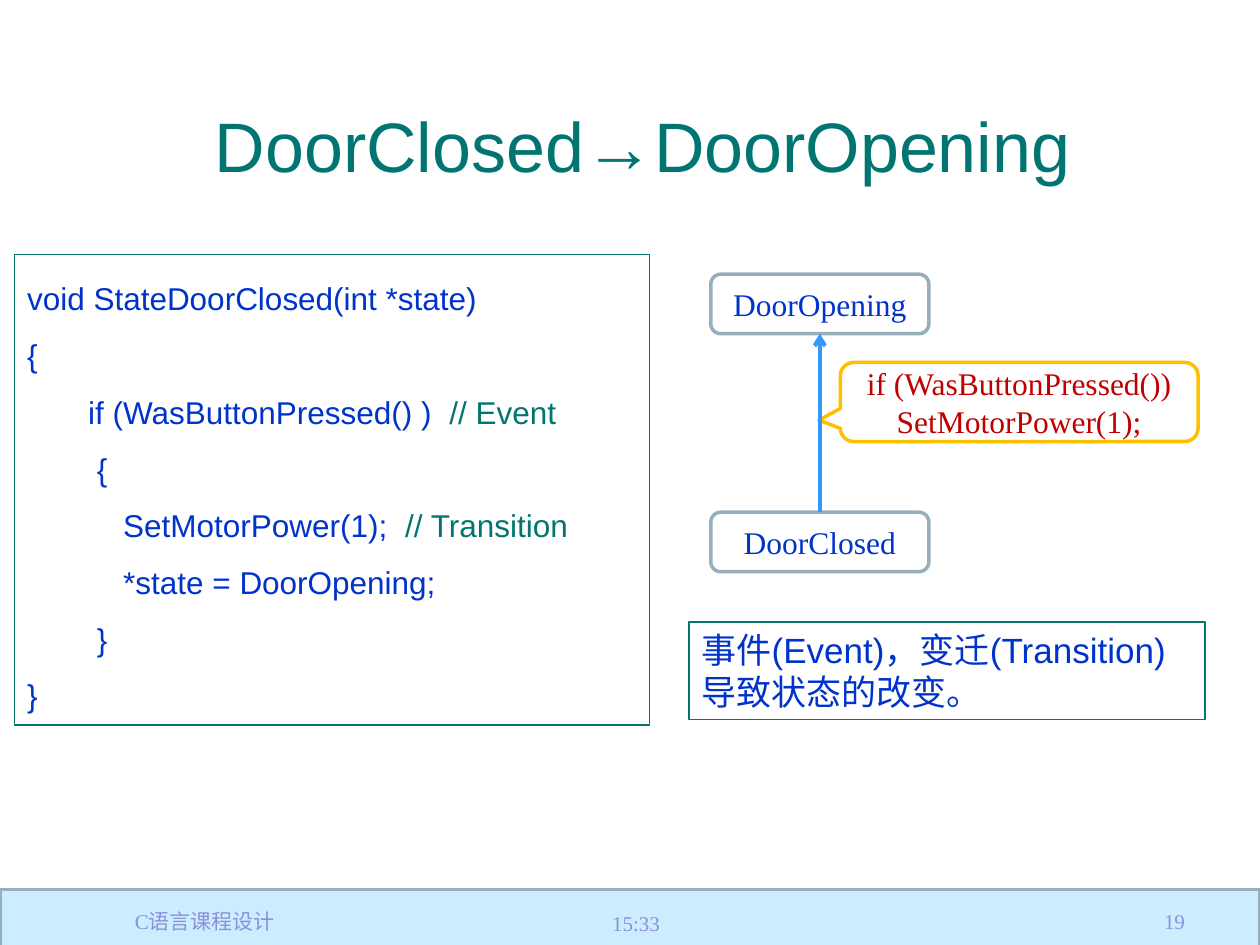
from lxml.etree import SubElement
from pptx import Presentation
from pptx.dml.color import RGBColor
from pptx.enum.shapes import MSO_CONNECTOR, MSO_SHAPE
from pptx.enum.text import MSO_ANCHOR, MSO_AUTO_SIZE, PP_ALIGN
from pptx.oxml.ns import qn
from pptx.util import Pt

TEAL = RGBColor(0x00, 0x75, 0x72)
BLUE = RGBColor(0x00, 0x33, 0xCC)
SKY = RGBColor(0x33, 0x99, 0xFF)
PALE = RGBColor(0xCC, 0xEC, 0xFF)
GRAY = RGBColor(0x97, 0xAF, 0xBD)
GOLD = RGBColor(0xFF, 0xC0, 0x00)
RED = RGBColor(0xC0, 0x00, 0x00)
LILAC = RGBColor(0x8C, 0x90, 0xDA)

SANS, SERIF = "Arial", "Times New Roman"

CODE = [
    "void StateDoorClosed(int *state)",
    "{",
    "       if (WasButtonPressed() )  // Event",
    "        {",
    "           SetMotorPower(1);  // Transition",
    "           *state = DoorOpening;",
    "        }",
    "}",
]


def write(shape, lines, size=18, font=SERIF, color=BLUE, align=PP_ALIGN.LEFT,
          anchor=MSO_ANCHOR.MIDDLE, space=None, note=None, grow=False):
    """Fill a shape with lines; text from // on takes the note colour."""
    frame = shape.text_frame
    frame.word_wrap = True
    frame.vertical_anchor = anchor
    if grow:
        frame.auto_size = MSO_AUTO_SIZE.SHAPE_TO_FIT_TEXT
    for i, line in enumerate(lines):
        para = frame.paragraphs[0] if i == 0 else frame.add_paragraph()
        para.alignment = align
        if space:
            para.line_spacing = space
        code, mark, rest = line.partition("//") if note else (line, "", "")
        for text, tint in ((code, color), (mark + rest, note)):
            if text:
                run = para.add_run()
                run.text = text
                run.font.size = Pt(size)
                run.font.name = font
                run.font.color.rgb = tint


def label(slide, box, lines, **style):
    shape = slide.shapes.add_textbox(*map(Pt, box))
    write(shape, lines, **style)


def outline(slide, kind, box, line, width, fill=None):
    shape = slide.shapes.add_shape(kind, *map(Pt, box))
    shape.shadow.inherit = False
    if fill is None:
        shape.fill.background()
    else:
        shape.fill.solid()
        shape.fill.fore_color.rgb = fill
    shape.line.color.rgb = line
    shape.line.width = Pt(width)
    return shape


def panel(slide, box, lines, **style):
    shape = outline(slide, MSO_SHAPE.RECTANGLE, box, TEAL, 0.75)
    write(shape, lines, font=SANS, anchor=MSO_ANCHOR.TOP, grow=True, **style)


def states(slide, box):
    """Two states, the arrow between them and its callout."""
    left, top, width, height = box
    wide, high = 124.6, 34

    # State boxes at the top and bottom of the region
    nodes = []
    for name, y in (("DoorOpening", top), ("DoorClosed", top + height - high)):
        node = outline(slide, MSO_SHAPE.ROUNDED_RECTANGLE,
                       (left, y, wide, high), GRAY, 2)
        write(node, [name], align=PP_ALIGN.CENTER)
        nodes.append(node)
    upper, lower = nodes

    # Callout with its tip on the arrow
    inset = 74
    note = outline(slide, MSO_SHAPE.ROUNDED_RECTANGULAR_CALLOUT,
                   (left + inset, top + 50.4, width - inset, 45.2), GOLD, 2)
    for i, value in enumerate((-0.56, 0.23, 0.17)):
        note.adjustments[i] = value
    write(note, ["if (WasButtonPressed())", "SetMotorPower(1);"],
          color=RED, align=PP_ALIGN.CENTER)

    # Transition arrow
    arrow = slide.shapes.add_connector(MSO_CONNECTOR.STRAIGHT, 0, 0, 0, 0)
    arrow.begin_connect(lower, 0)
    arrow.end_connect(upper, 2)
    arrow.line.color.rgb = SKY
    arrow.line.width = Pt(2.25)
    SubElement(arrow.line._get_or_add_ln(), qn("a:tailEnd"), type="arrow")
    SubElement(arrow._element.spPr, qn("a:effectLst"))


def footer(slide, box):
    left, top, width, height = box
    outline(slide, MSO_SHAPE.RECTANGLE, box, GRAY, 2, fill=PALE)
    for x, drop, wide, text, align in (
        (516.2, 3.6, 168, "19", PP_ALIGN.RIGHT),
        (3, 3.6, 228, "C语言课程设计", PP_ALIGN.CENTER),
        (342.7, 5, 168, "15:33", PP_ALIGN.LEFT),
    ):
        label(slide, (left + x, top + drop, wide, 28.8), [text],
              size=12, color=LILAC, align=align)


def main():
    deck = Presentation()
    deck.slide_width, deck.slide_height = Pt(720), Pt(540)
    slide = deck.slides.add_slide(deck.slide_layouts[6])

    footer(slide, (0, 508.2, 720, 34))
    # Title
    label(slide, (28, 43.2, 678.4, 78.5), ["DoorClosed→DoorOpening"],
          size=40, font=SANS, color=TEAL, align=PP_ALIGN.CENTER)
    # Code
    panel(slide, (8.4, 145.4, 363, 269), CODE, space=1.5, note=TEAL)
    # Remark
    panel(slide, (393.8, 355.4, 294.8, 55.7),
          ["事件(Event)，变迁(Transition)", "导致状态的改变。"], size=20)
    # State diagram
    states(slide, (406.2, 156.7, 278.5, 170))

    deck.save("out.pptx")


if __name__ == "__main__":
    main()
